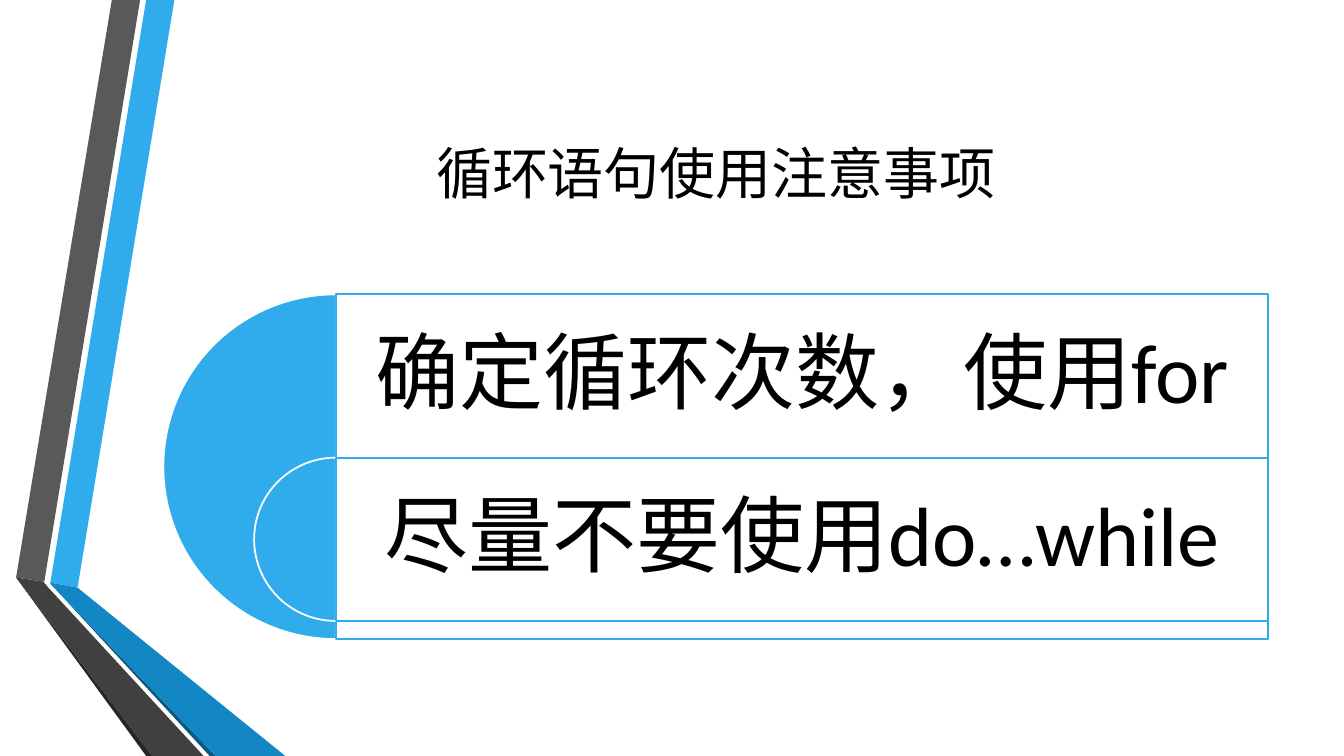
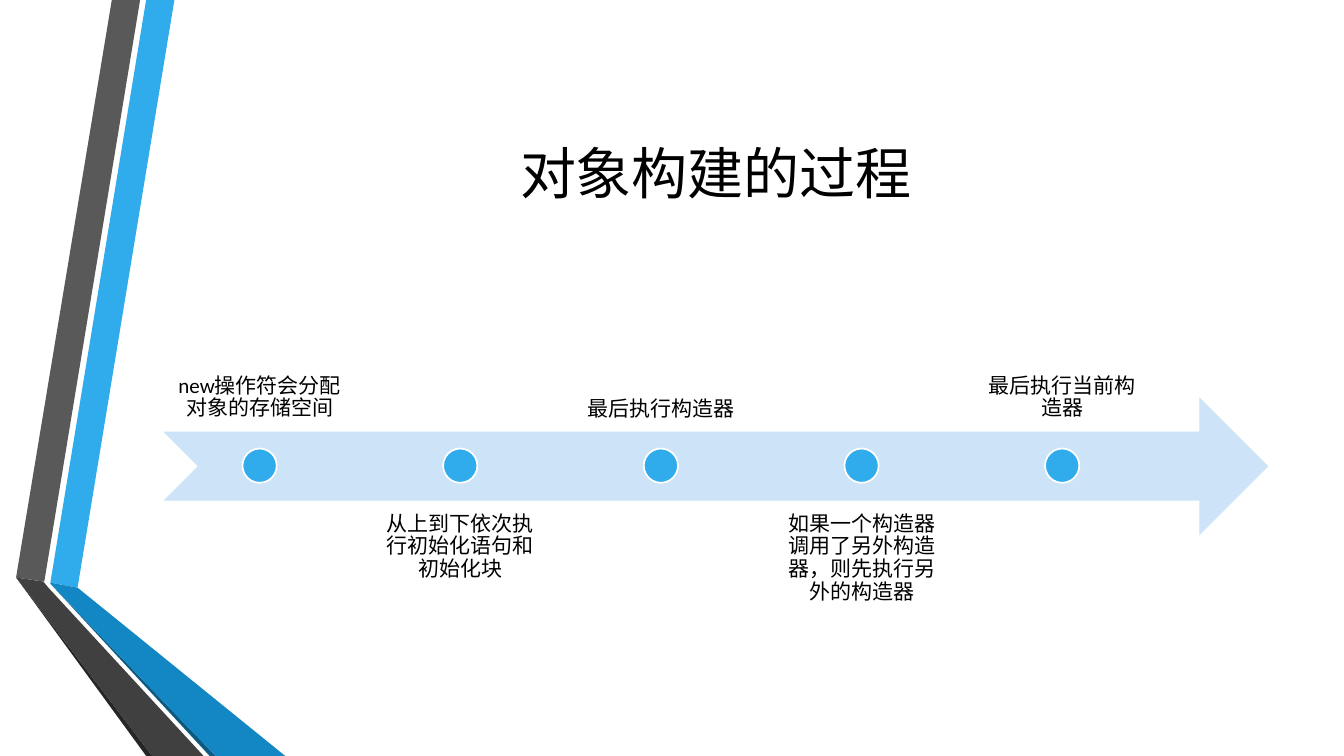
from lxml import etree
from pptx import Presentation
from pptx.dml.color import RGBColor
from pptx.enum.shapes import MSO_SHAPE
from pptx.enum.text import MSO_ANCHOR, PP_ALIGN
from pptx.oxml.ns import qn
from pptx.util import Inches, Pt

PIE, RECT, DOT = MSO_SHAPE.PIE, MSO_SHAPE.RECTANGLE, MSO_SHAPE.OVAL
ARROW = MSO_SHAPE.NOTCHED_RIGHT_ARROW
TOP, MID, LOW = MSO_ANCHOR.TOP, MSO_ANCHOR.MIDDLE, MSO_ANCHOR.BOTTOM
CENTER = PP_ALIGN.CENTER
FONT = "Calibri"
BLUE, PALE, WHITE, BLACK = "30ACEC", "CDE3F8", "FFFFFF", "000000"
rgb = RGBColor.from_string


def paint(shape, fill, edge=None):
    shape.shadow.inherit = False
    shape.fill.solid()
    shape.fill.fore_color.rgb = rgb(fill)
    if edge:
        shape.line.color.rgb = rgb(edge)
        shape.line.width = Pt(1.25)
    else:
        shape.line.fill.background()


def write(frame, text, size, anchor, inset=None):
    frame.word_wrap = True
    frame.vertical_anchor = anchor
    para = frame.paragraphs[0]
    para.alignment = CENTER
    if inset:
        frame.margin_left = frame.margin_right = Inches(inset)
        frame.margin_top = frame.margin_bottom = Inches(inset)
        para.line_spacing = 0.9
    run = para.add_run()
    run.text = text
    run.font.name = FONT
    run.font.size = Pt(size)
    run.font.color.rgb = rgb(BLACK)


deck = Presentation()
deck.slide_width, deck.slide_height = Inches(13.33), Inches(7.5)

# Layout: title place
layout = deck.slide_layouts[5]
title = layout.placeholders[0]
title.left, title.top = Inches(1.62), Inches(0.75)
title.width, title.height = Inches(10.96), Inches(1.92)

# Slides with their titles
slides = []
for text in ("循环语句使用注意事项", "对象构建的过程"):
    slide = deck.slides.add_slide(layout)
    write(slide.shapes.title.text_frame, text, 40, MID)
    slides.append(slide)
loops, build = slides

# Folded bands, drawn once and moved to the layout behind the title
bands = [
    (BLUE, [(0.5, 5.78), (0.77, 5.83), (1.73, 0), (1.45, 0)]),
    ("595959", [(1.39, 0), (1.11, 0), (0.16, 5.73), (0.44, 5.77)]),
    ("262626", [(0.16, 5.73), (1.45, 7.5), (1.51, 7.5)]),
    ("0C5A82", [(0.5, 5.79), (2.08, 7.5), (2.14, 7.5)]),
    ("1287C3", [(0.5, 5.79), (2.14, 7.5), (2.83, 7.5), (0.77, 5.83), (0.5, 5.78)]),
    ("404040", [(2.02, 7.5), (0.48, 5.83), (0.43, 5.77), (0.16, 5.73), (1.51, 7.5)]),
]
tree = layout.shapes.element
for spot, (color, points) in enumerate(bands, start=2):
    points = [(Inches(x), Inches(y)) for x, y in points]
    pen = loops.shapes.build_freeform(*points[0])
    pen.add_line_segments(points[1:], close=True)
    band = pen.convert_to_shape()
    paint(band, color)
    tree.insert(spot, band.element)

# Slide 1: half discs with a row of text each
left, width, row = Inches(3.33), Inches(9.25), Inches(1.62)
rules = [(2.92, 3.42, "确定循环次数，使用for"), (4.54, 1.62, "尽量不要使用do…while")]
for top, size, text in rules:
    top, size = Inches(top), Inches(size)
    disc = loops.shapes.add_shape(PIE, left - size // 2, top, size, size)
    disc.adjustments[0], disc.adjustments[1] = 54, 162
    paint(disc, BLUE, WHITE)
    panel = loops.shapes.add_shape(RECT, left, top, width, size)
    paint(panel, WHITE, BLUE)
    tone = panel.element.spPr.find(qn("a:solidFill"))[0]
    etree.SubElement(tone, qn("a:alpha"), val="90000")
    box = loops.shapes.add_textbox(left, top, width, row)
    write(box.text_frame, text, 60, MID, 0.25)

# Slide 2: time arrow with steps above and below in turn
arrow = build.shapes.add_shape(ARROW, Inches(1.62), Inches(3.94), Inches(10.96), Inches(1.37))
paint(arrow, PALE)
steps = [
    "new操作符会分配对象的存储空间",
    "从上到下依次执行初始化语句和初始化块",
    "最后执行构造器",
    "如果一个构造器调用了另外构造器，则先执行另外的构造器",
    "最后执行当前构造器",
]
wide, high, size = Inches(1.89), Inches(1.37), Inches(0.34)
for i, text in enumerate(steps):
    left = Inches(1.63 + 1.99 * i)
    top, anchor = ((2.92, LOW), (4.97, TOP))[i % 2]
    box = build.shapes.add_textbox(left, Inches(top), wide, high)
    write(box.text_frame, text, 15, anchor, 0.12)
    dot = build.shapes.add_shape(DOT, left + (wide - size) // 2, Inches(4.45), size, size)
    paint(dot, BLUE, WHITE)

deck.save("out.pptx")
